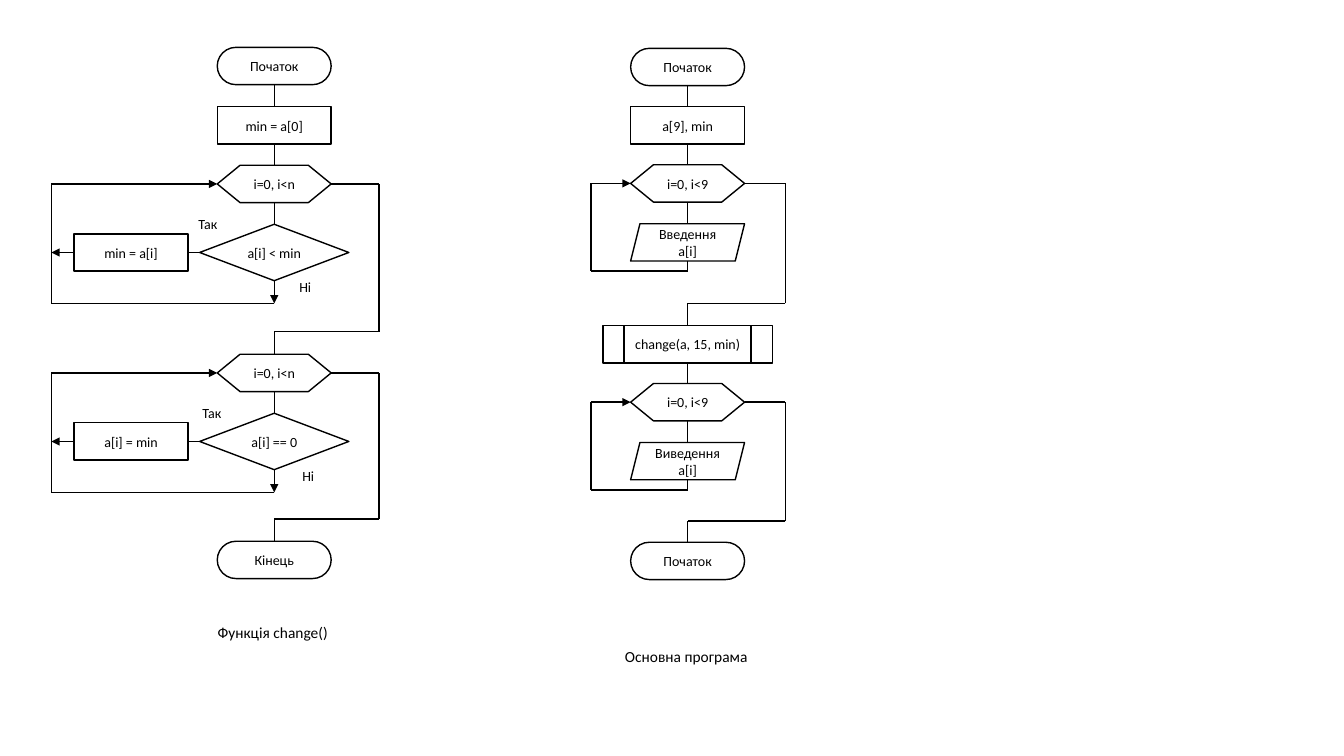
from pptx import Presentation
from pptx import util as u
from pptx.dml import color
from pptx.enum import shapes, text
from pptx.oxml import ns, xmlchemy

CELL = u.Inches(0.1)
NODE_WIDTH, NODE_HEIGHT = 11.3, 3.7
TOP, LEFT, BOTTOM, RIGHT = range(4)
KIND = shapes.MSO_SHAPE


def cells(*counts):
    """Turn counts of grid cells into slide lengths."""
    return [round(count * CELL) for count in counts]


def rgb(value):
    """Return the colour for a hex string."""
    return color.RGBColor.from_string(value)


def write(frame, words, size=10, align=text.PP_ALIGN.LEFT):
    """Fill a text frame with one formatted paragraph."""
    para = frame.paragraphs[0]
    para.alignment = align
    span = para.add_run()
    span.text = words
    span.font.size = u.Pt(size)
    span.font.name = "Calibri"
    span.font.color.rgb = rgb("000000")


def node(page, kind, column, row, words, width=NODE_WIDTH, height=NODE_HEIGHT):
    """Draw a flowchart block centred on a grid point."""
    box = page.shapes.add_shape(
        kind, *cells(column - width / 2, row - height / 2, width, height))
    box.shadow.inherit = False
    box.fill.solid()
    box.fill.fore_color.rgb = rgb("FFFFFF")
    box.line.color.rgb = rgb("000000")
    box.line.width = u.Pt(1)
    if kind == KIND.ROUNDED_RECTANGLE:
        box.adjustments[0] = 0.5
    box.text_frame.word_wrap = True
    box.text_frame.vertical_anchor = text.MSO_ANCHOR.MIDDLE
    write(box.text_frame, words, align=text.PP_ALIGN.CENTER)
    return box


def label(page, column, row, width, words, size=10, height=2.7):
    """Place free text on the grid."""
    box = page.shapes.add_textbox(*cells(column, row, width, height))
    box.text_frame.word_wrap = False
    box.text_frame.auto_size = text.MSO_AUTO_SIZE.SHAPE_TO_FIT_TEXT
    write(box.text_frame, words, size)


def wire(page, *stops, arrow=False):
    """Join grid points or (block, side) pairs, with an arrow at the last stop."""
    for begin, end in zip(stops, stops[1:]):
        points = [(0, 0) if hasattr(stop[0], "shape_id") else cells(*stop)
                  for stop in (begin, end)]
        line = page.shapes.add_connector(
            shapes.MSO_CONNECTOR.STRAIGHT, *points[0], *points[1])
        if hasattr(begin[0], "shape_id"):
            line.begin_connect(*begin)
        if hasattr(end[0], "shape_id"):
            line.end_connect(*end)
        line.line.color.rgb = rgb("000000")
        line.line.width = u.Pt(1)
        if arrow and end is stops[-1]:
            tail = xmlchemy.OxmlElement("a:tailEnd")
            tail.set("type", "triangle")
            line.line._get_or_add_ln().append(tail)
        line._element.spPr.append(xmlchemy.OxmlElement("a:effectLst"))


def stack(page, *blocks):
    """Join blocks from top to bottom."""
    for upper, lower in zip(blocks, blocks[1:]):
        wire(page, (upper, BOTTOM), (lower, TOP))


def leave(page, loop, following, column, row, rail, turn):
    """Route a finished loop around its right side to the following block."""
    wire(page, (loop, RIGHT), (rail, row), (rail, turn), (column, turn),
         (following, TOP))


def search_loop(page, column, row, test, action):
    """Draw a loop whose body is a condition with an assignment."""
    rail, turn, middle = 5.1, row + 11.85, row + 6.8
    loop = node(page, KIND.FLOWCHART_PREPARATION, column, row, "i=0, i<n")
    check = node(page, KIND.DIAMOND, column, middle, test, 14.8, 5.6)
    assign = node(page, KIND.RECTANGLE, 13, middle, action)
    stack(page, loop, check)
    wire(page, (assign, RIGHT), (check, LEFT))
    wire(page, (assign, LEFT), (rail, middle), arrow=True)
    wire(page, (check, BOTTOM), (column, turn), arrow=True)
    wire(page, (column, turn), (rail, turn), (rail, row), (loop, LEFT), arrow=True)
    return loop


def array_loop(page, column, row, action):
    """Draw a loop whose body is one input or output block."""
    rail, turn, middle = 58.6, row + 8.7, row + 5.85
    loop = node(page, KIND.FLOWCHART_PREPARATION, column, row, "i=0, i<9")
    node(page, KIND.PARALLELOGRAM, column, middle, action)
    wire(page, (loop, BOTTOM), (column, middle - NODE_HEIGHT / 2))
    wire(page, (column, middle + NODE_HEIGHT / 2), (column, turn),
         (rail, turn), (rail, row), (loop, LEFT), arrow=True)
    return loop


def draw_function(page, column=27.2, rail=37.6):
    """Draw the flowchart of the function."""
    start = node(page, KIND.ROUNDED_RECTANGLE, column, 6.55, "Початок")
    first = node(page, KIND.RECTANGLE, column, 12.45, "min = a[0]")
    find = search_loop(page, column, 18.25, "a[i] < min", "min = a[i]")
    change = search_loop(page, column, 37, "a[i] == 0", "a[i] = min")
    finish = node(page, KIND.ROUNDED_RECTANGLE, column, 55.55, "Кінець")
    stack(page, start, first, find)
    leave(page, find, change, column, 18.25, rail, 32.9)
    leave(page, change, finish, column, 37, rail, 51.5)
    for left, top, width, words in (
            (28.7, 27.1, 3.2, "Ні"), (29, 45.9, 3.2, "Ні"),
            (19.1, 39.6, 4, "Так"), (18.7, 20.9, 4, "Так")):
        label(page, left, top, width, words)
    label(page, 20.6, 61.3, 13, "Функція change()", size=11, height=2.9)


def draw_program(page, column=68.2, rail=77.9):
    """Draw the flowchart of the main program."""
    start = node(page, KIND.ROUNDED_RECTANGLE, column, 6.65, "Початок")
    declare = node(page, KIND.RECTANGLE, column, 12.45, "a[9], min")
    fill = array_loop(page, column, 18.2, "Введення a[i]")
    call = node(page, KIND.FLOWCHART_PREDEFINED_PROCESS, column, 34.15,
                "change(a, 15, min)", width=16.8)
    show = array_loop(page, column, 39.9, "Виведення a[i]")
    finish = node(page, KIND.ROUNDED_RECTANGLE, column, 55.65, "Початок")
    stack(page, start, declare, fill)
    stack(page, call, show)
    leave(page, fill, call, column, 18.2, rail, 30.1)
    leave(page, show, finish, column, 39.9, rail, 51.7)
    label(page, 61, 63.7, 14.2, "Основна програма", size=11, height=2.9)


def main():
    """Build the slide and save the deck."""
    deck = Presentation()
    deck.slide_width, deck.slide_height = u.Inches(13.33), u.Inches(7.5)
    page = deck.slides.add_slide(deck.slide_layouts[6])
    draw_function(page)
    draw_program(page)
    deck.save("out.pptx")


if __name__ == "__main__":
    main()
